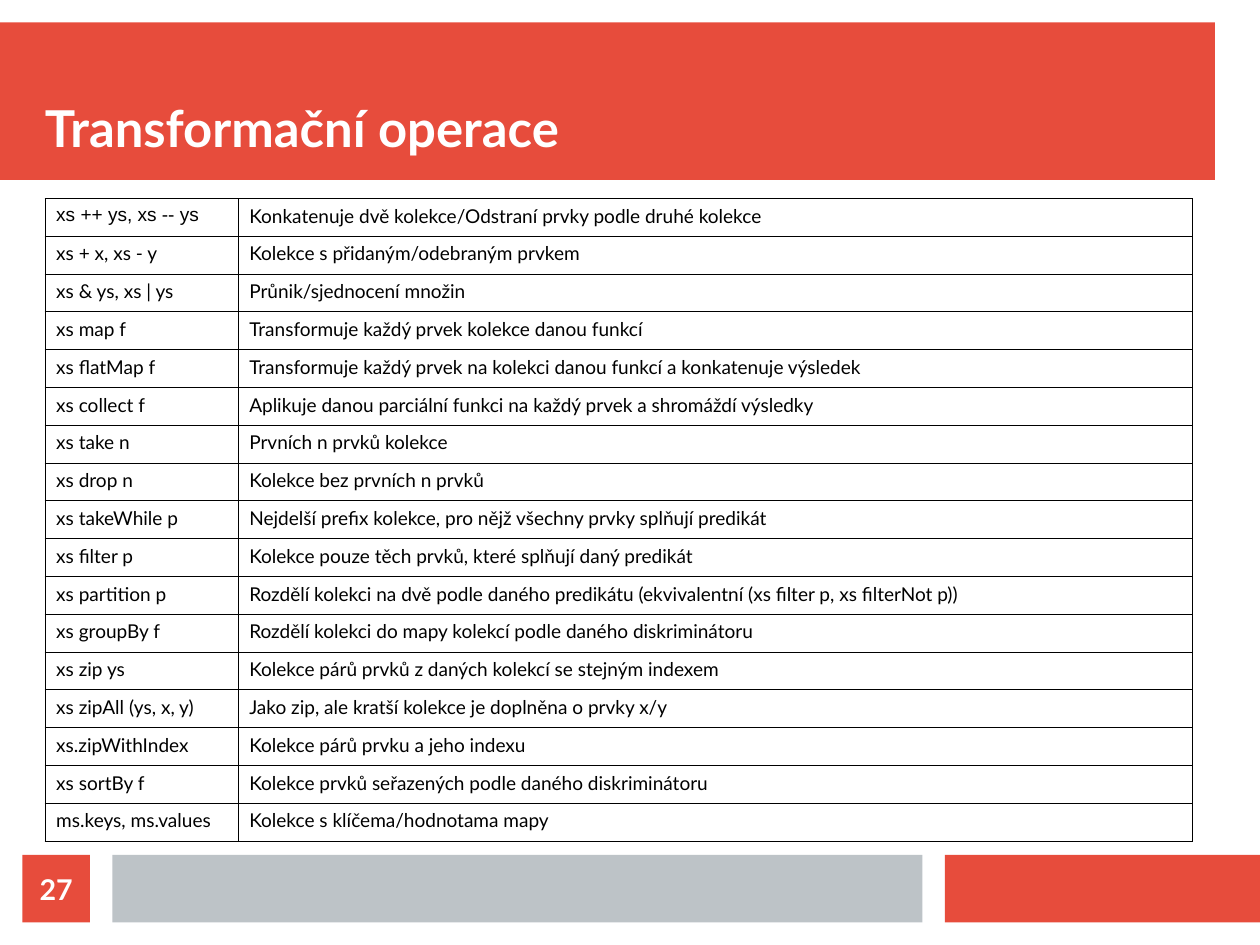
"""Builds a slide with a table of collection transformation operations."""
from lxml import etree
from pptx import Presentation
from pptx.dml.color import RGBColor
from pptx.enum.shapes import MSO_SHAPE
from pptx.enum.text import MSO_ANCHOR, PP_ALIGN
from pptx.oxml.ns import qn
from pptx.util import Cm, Pt

RECTANGLE = MSO_SHAPE.RECTANGLE
BOTTOM, MIDDLE = MSO_ANCHOR.BOTTOM, MSO_ANCHOR.MIDDLE
LEFT, CENTER = PP_ALIGN.LEFT, PP_ALIGN.CENTER
COLORS = {"red": "E74C3C", "gray": "BDC3C7", "white": "FFFFFF", "black": "000000"}
ROW_HEIGHT = 0.84

OPERATIONS = [
    ("xs ++ ys, xs -- ys", "Konkatenuje dvě kolekce/Odstraní prvky podle druhé kolekce"),
    ("xs + x, xs - y", "Kolekce s přidaným/odebraným prvkem"),
    ("xs & ys, xs | ys", "Průnik/sjednocení množin"),
    ("xs map f", "Transformuje každý prvek kolekce danou funkcí"),
    ("xs flatMap f", "Transformuje každý prvek na kolekci danou funkcí a konkatenuje výsledek"),
    ("xs collect f", "Aplikuje danou parciální funkci na každý prvek a shromáždí výsledky"),
    ("xs take n", "Prvních n prvků kolekce"),
    ("xs drop n", "Kolekce bez prvních n prvků"),
    ("xs takeWhile p", "Nejdelší prefix kolekce, pro nějž všechny prvky splňují predikát"),
    ("xs filter p", "Kolekce pouze těch prvků, které splňují daný predikát"),
    ("xs partition p",
     "Rozdělí kolekci na dvě podle daného predikátu (ekvivalentní (xs filter p, xs filterNot p))"),
    ("xs groupBy f", "Rozdělí kolekci do mapy kolekcí podle daného diskriminátoru"),
    ("xs zip ys", "Kolekce párů prvků z daných kolekcí se stejným indexem"),
    ("xs zipAll (ys, x, y)", "Jako zip, ale kratší kolekce je doplněna o prvky x/y"),
    ("xs.zipWithIndex", "Kolekce párů prvku a jeho indexu"),
    ("xs sortBy f", "Kolekce prvků seřazených podle daného diskriminátoru"),
    ("ms.keys, ms.values", "Kolekce s klíčema/hodnotama mapy"),
]


def add_bar(left, top, width, height, color):
    bar = slide.shapes.add_shape(RECTANGLE, Cm(left), Cm(top), Cm(width), Cm(height))
    bar.shadow.inherit = False
    bar.fill.solid()
    bar.fill.fore_color.rgb = RGBColor.from_string(COLORS[color])
    bar.line.fill.background()
    return bar


def write(frame, text, size, color, bold=False, align=LEFT, font="Lato"):
    paragraph = frame.paragraphs[0]
    paragraph.text = text
    paragraph.alignment = align
    paragraph.font.name = font
    paragraph.font.size = Pt(size)
    paragraph.font.bold = bold
    paragraph.font.color.rgb = RGBColor.from_string(COLORS[color])


prs = Presentation()
prs.slide_width, prs.slide_height = Cm(28), Cm(21)
slide = prs.slides.add_slide(prs.slide_layouts[6])

add_bar(0, 0.5, 27, 3.5, "red")
add_bar(21, 19, 7, 1.5, "red")
add_bar(2.5, 19, 18, 1.5, "gray")
page_number = add_bar(0.5, 19, 1.5, 1.5, "red")
title = slide.shapes.add_textbox(Cm(1), Cm(1), Cm(26), Cm(2.5))

for holder, text, size, anchor, align in [
    (title, "Transformační operace", 32, BOTTOM, LEFT),
    (page_number, "27", 18, MIDDLE, CENTER),
]:
    frame = holder.text_frame
    frame.word_wrap = True
    frame.vertical_anchor = anchor
    frame.margin_left = frame.margin_right = frame.margin_top = frame.margin_bottom = 0
    write(frame, text, size, "white", True, align)

operations = slide.shapes.add_table(
    len(OPERATIONS), 2, Cm(1), Cm(4.41), Cm(25.5), Cm(ROW_HEIGHT * len(OPERATIONS))
).table
operations.first_row = operations.horz_banding = False
operations.columns[0].width, operations.columns[1].width = Cm(4.29), Cm(21.21)

for row, texts in enumerate(OPERATIONS):
    operations.rows[row].height = Cm(ROW_HEIGHT)
    for column, text in enumerate(texts):
        cell = operations.cell(row, column)
        cell.margin_left = cell.margin_right = Cm(0.25)
        cell.margin_top = cell.margin_bottom = Cm(0.13)
        properties = cell._tc.get_or_add_tcPr()
        for side in ("a:lnL", "a:lnR", "a:lnT", "a:lnB"):
            border = etree.SubElement(properties, qn(side), w=str(Pt(0.57)))
            border_fill = etree.SubElement(border, qn("a:solidFill"))
            etree.SubElement(border_fill, qn("a:srgbClr"), val=COLORS["black"])
        cell.fill.background()
        font = "Arial" if row == column == 0 else "Lato"
        write(cell.text_frame, text, 12, "black", font=font)

prs.save("out.pptx")
